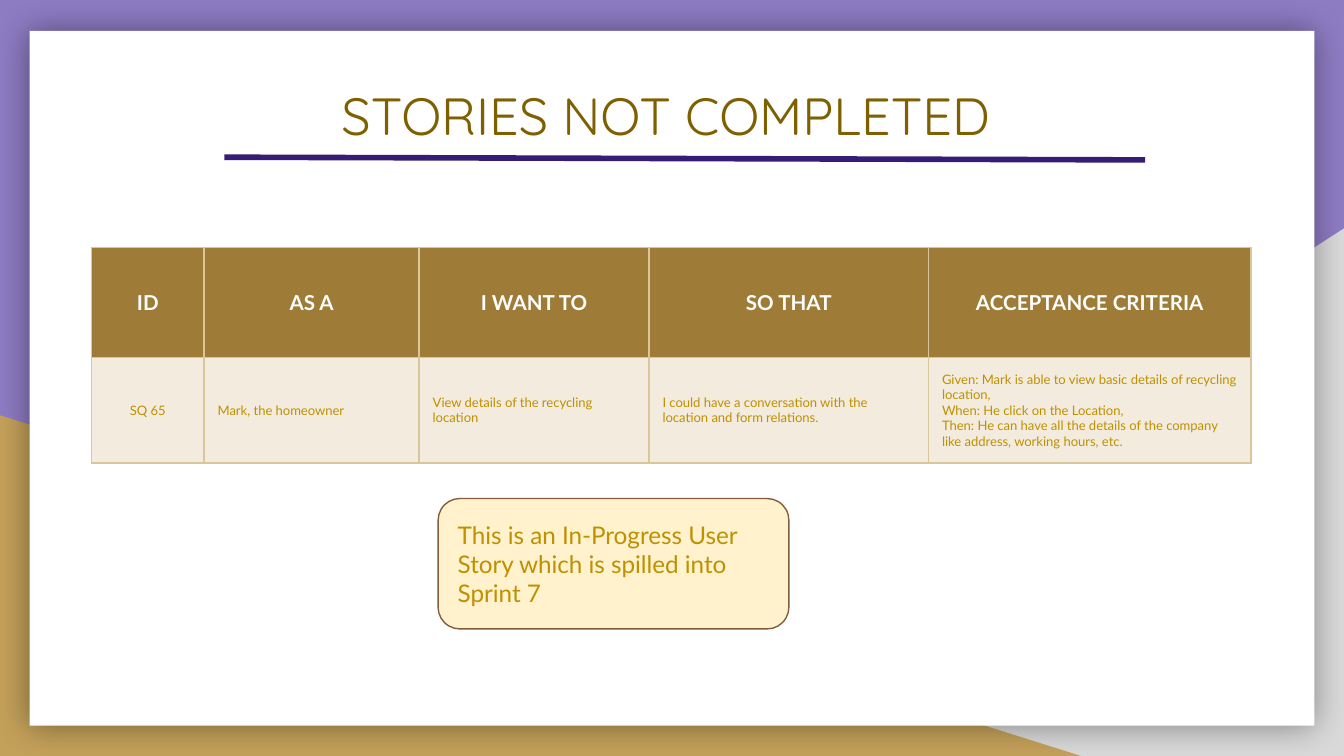
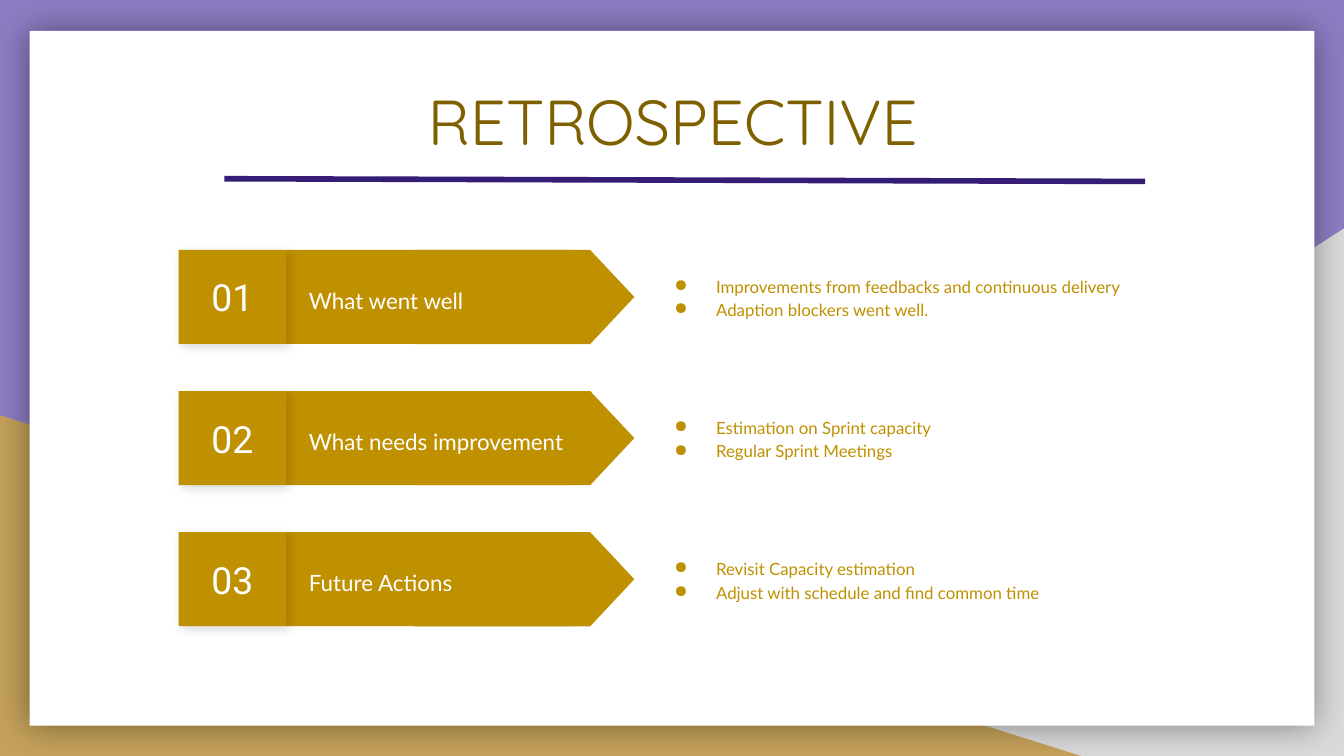
from lxml import etree
from pptx import Presentation
from pptx import util as u
from pptx.dml.color import RGBColor
from pptx.enum import shapes, text
from pptx.oxml import parse_xml
from pptx.oxml.ns import nsdecls, qn

COLORS = {
    "purple": "8E7CC3", "grey": "D9D9D9", "sand": "C4A15A", "white": "FFFFFF",
    "title": "7F6000", "rule": "351C75", "gold": "BF9000", "header": "9E7C38",
    "border": "DBC69B", "cream": "FFF2CC", "brown": "835C3C",
}
SHAPE = shapes.MSO_SHAPE
LEFT, CENTER = text.PP_ALIGN.LEFT, text.PP_ALIGN.CENTER
MIDDLE = text.MSO_ANCHOR.MIDDLE


def add_block(parent, kind, bounds, fill, shadow=None):
    """Add a filled, unlined shape; shadow is (alpha %, blur pt, distance pt, degrees)."""
    block = parent.shapes.add_shape(kind, *[u.Inches(value) for value in bounds])
    block.fill.solid()
    block.fill.fore_color.rgb = RGBColor.from_string(COLORS[fill])
    block.line.fill.background()
    block.shadow.inherit = False
    if shadow:
        alpha, blur, distance, degrees = shadow
        effects = block._element.spPr.find(qn("a:effectLst"))
        effects.append(parse_xml(
            f'<a:outerShdw {nsdecls("a")} blurRad="{u.Pt(blur)}" dist="{u.Pt(distance)}" '
            f'dir="{degrees * 60000}" algn="bl" rotWithShape="0"><a:srgbClr val="000000">'
            f'<a:alpha val="{alpha * 1000}"/></a:srgbClr></a:outerShdw>'))
    return block


def write(frame, lines, font, size, color, align=LEFT, bold=False, spacing=1.0):
    """Fill a text frame with one paragraph per line."""
    frame.word_wrap = True
    frame.margin_left = frame.margin_right = u.Inches(0.1)
    frame.margin_top = frame.margin_bottom = u.Inches(0.1)
    for index, line in enumerate(lines):
        para = frame.paragraphs[0] if index == 0 else frame.add_paragraph()
        para.alignment = align
        para.line_spacing = spacing
        span = para.add_run()
        span.text = line
        span.font.name = font
        span.font.size = u.Pt(size)
        span.font.bold = bold
        span.font.color.rgb = RGBColor.from_string(COLORS[color])


deck = Presentation()
deck.slide_width, deck.slide_height = u.Inches(10), u.Inches(5.625)

# Shared backdrop, title and rule: title, size, title top, rule top
pages = []
for title, size, title_top, rule_top in [
    ("STORIES NOT COMPLETED ", 28, 0.52, 1.17),
    ("RETROSPECTIVE", 34, 0.51, 1.33),
]:
    page = deck.slides.add_slide(deck.slide_layouts[6])
    pages.append(page)
    page.background.fill.solid()
    page.background.fill.fore_color.rgb = RGBColor.from_string(COLORS["purple"])
    corner = add_block(page, SHAPE.RIGHT_TRIANGLE, (3.92, 1.7, 6.08, 3.93), "grey")
    corner._element.spPr.find(qn("a:xfrm")).set("flipH", "1")
    add_block(page, SHAPE.RIGHT_TRIANGLE, (0, 3.09, 8.06, 2.54), "sand")
    add_block(page, SHAPE.RECTANGLE, (0.22, 0.23, 9.56, 5.17), "white", (40, 18, 0, 0))

    box = page.shapes.add_textbox(u.Inches(0.9), u.Inches(title_top), u.Inches(8.21), u.Inches(1.04))
    write(box.text_frame, [title], "Quicksand", size, "title", CENTER)

    rule = page.shapes.add_connector(
        shapes.MSO_CONNECTOR.STRAIGHT, u.Inches(1.67), u.Inches(rule_top),
        u.Inches(8.52), u.Inches(rule_top + 0.02))
    rule.line.color.rgb = RGBColor.from_string(COLORS["rule"])
    rule.line.width = u.Pt(3)
    etree.SubElement(rule._element.spPr, qn("a:effectLst"))

stories, retrospective = pages

# Story table
story_rows = [
    [["ID"], ["AS A"], ["I WANT TO"], ["SO THAT"], ["ACCEPTANCE CRITERIA"]],
    [
        ["SQ 65"],
        ["Mark, the homeowner"],
        ["View details of the recycling location"],
        ["I could have a conversation with the location and form relations."],
        ["Given: Mark is able to view basic details of recycling location,",
         "When: He click on the Location,",
         "Then: He can have all the details of the company like address, working hours, etc."],
    ],
]
table = stories.shapes.add_table(
    2, 5, u.Inches(0.68), u.Inches(1.84), u.Inches(8.63), u.Inches(1.6)).table
for column, width in zip(table.columns, [0.84, 1.6, 1.71, 2.08, 2.4]):
    column.width = u.Inches(width)
for row, height in zip(table.rows, [0.82, 0.78]):
    row.height = u.Inches(height)

for row_index, story_row in enumerate(story_rows):
    is_header = row_index == 0
    for column_index, lines in enumerate(story_row):
        cell = table.cell(row_index, column_index)
        cell.vertical_anchor = MIDDLE
        cell.margin_top = cell.margin_bottom = u.Inches(0.1)
        cell.margin_left = cell.margin_right = u.Inches(0.1)
        cell.fill.solid()
        cell.fill.fore_color.rgb = RGBColor.from_string(COLORS["header" if is_header else "sand"])
        align = CENTER if is_header or column_index == 0 else LEFT
        write(cell.text_frame, lines, "Lato", 11 if is_header else 7,
              "white" if is_header else "gold", align, is_header)
        properties = cell._tc.get_or_add_tcPr()
        if not is_header:
            tint = properties.find(".//" + qn("a:srgbClr"))
            etree.SubElement(tint, qn("a:alpha")).set("val", "20000")
        for position, side in enumerate(["lnL", "lnR", "lnT", "lnB"]):
            properties.insert(position, parse_xml(
                f'<a:{side} {nsdecls("a")} w="{u.Pt(1)}"><a:solidFill>'
                f'<a:srgbClr val="{COLORS["border"]}"/></a:solidFill></a:{side}>'))

# Note on the spilled story
note = add_block(stories, SHAPE.FLOWCHART_ALTERNATE_PROCESS, (3.26, 3.71, 2.61, 0.97), "cream")
note.line.color.rgb = RGBColor.from_string(COLORS["brown"])
note.line.width = u.Pt(0.75)
note.text_frame.vertical_anchor = MIDDLE
write(note.text_frame, ["This is an In-Progress User Story which is spilled into Sprint 7"],
      "Lato", 13, "gold")

# Retrospective rows: numbered arrow and its points
topics = [
    ("What went well", ["Improvements from feedbacks and continuous delivery",
                        "Adaption blockers went well."]),
    ("What needs improvement", ["Estimation on Sprint capacity", "Regular Sprint Meetings"]),
    ("Future Actions", ["Revisit Capacity estimation",
                        "Adjust with schedule and find common time"]),
]
for index, (topic, points) in enumerate(topics):
    top = 1.86 + 1.05 * index
    group = retrospective.shapes.add_group_shape()
    add_block(group, SHAPE.RECTANGLE, (2.13, top, 2.13, 0.7), "gold")
    arrow = add_block(group, SHAPE.FLOWCHART_OFFPAGE_CONNECTOR, (3.55, top - 0.47, 0.7, 1.64), "gold")
    arrow.rotation = 270
    label = add_block(group, SHAPE.RECTANGLE, (2.2, top + 0.09, 2.24, 0.54), "gold")
    number = add_block(group, SHAPE.RECTANGLE, (1.33, top, 0.8, 0.7), "gold", (15, 5.6, 2.2, 45))
    details = add_block(group, SHAPE.RECTANGLE, (4.73, top, 3.93, 0.7), "white")
    for block in (label, number, details):
        block.text_frame.vertical_anchor = MIDDLE
    write(label.text_frame, [topic], "Lato", 12, "white", spacing=1.15)
    write(number.text_frame, [f"{index + 1:02}"], "Roboto", 20, "white", CENTER)
    write(details.text_frame, points, "Lato", 9, "gold", spacing=1.15)
    for para in details.text_frame.paragraphs:
        properties = para._p.get_or_add_pPr()
        properties.set("marL", str(u.Inches(0.5)))
        properties.set("indent", str(u.Inches(-0.31)))
        bullet_color = etree.SubElement(properties, qn("a:buClr"))
        etree.SubElement(bullet_color, qn("a:srgbClr")).set("val", COLORS["gold"])
        etree.SubElement(properties, qn("a:buChar")).set("char", "●")

deck.save("out.pptx")
